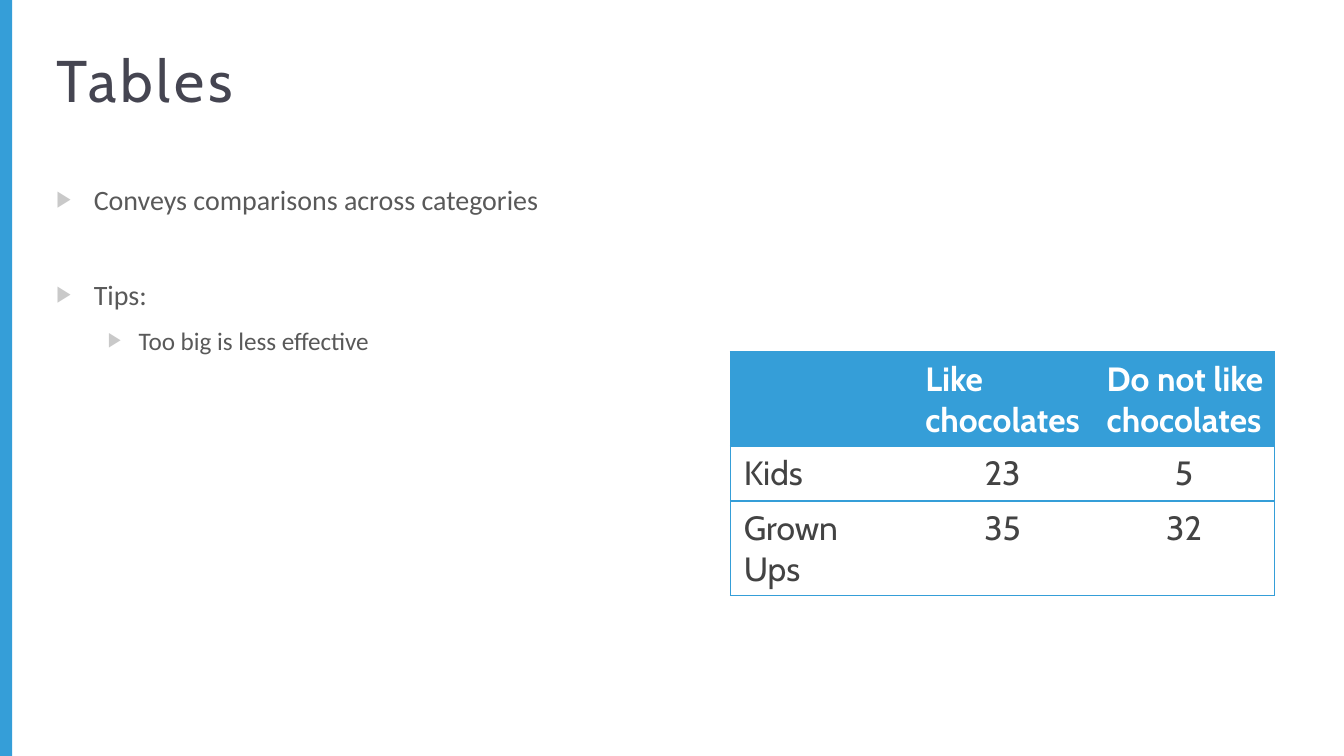
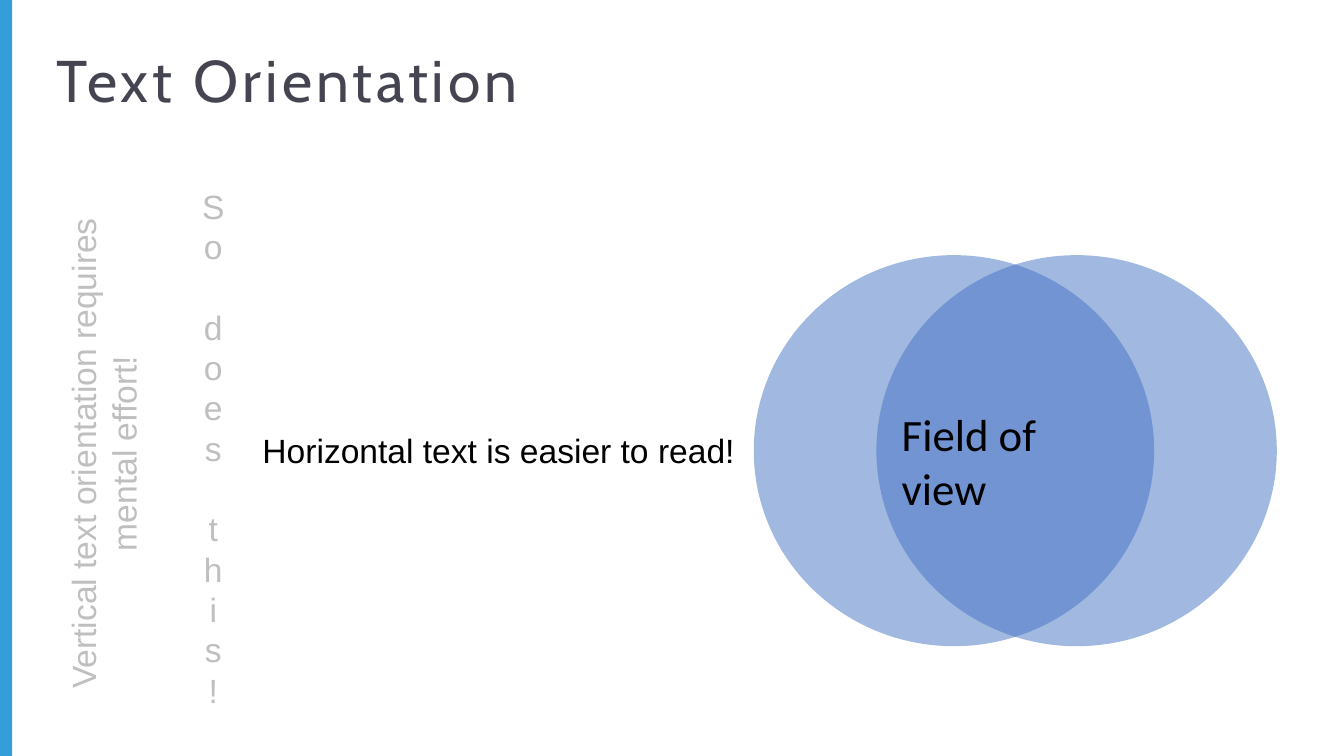
"""Builds two slides on tables and text orientation."""
import pptx
import pptx.dml.color
import pptx.enum.shapes
import pptx.enum.text
import pptx.oxml
import pptx.oxml.ns
import pptx.util
from lxml import etree

Pt = pptx.util.Pt
ALIGN = pptx.enum.text.PP_ALIGN
SHAPE = pptx.enum.shapes.MSO_SHAPE
qn = pptx.oxml.ns.qn

BLUE, INK, BULLET, BODY = "359ED8", "454551", "C9C9C9", "595959"
CELL_INK, PALE, BLACK, WHITE, CIRCLE = "434343", "BFBFBF", "000000", "FFFFFF", "4472C4"
WIDTH, HEIGHT = 720, 405
BAND = (0, 0, 6.5, HEIGHT)
TITLE = (23, 20, 570, 58.5)
LINE = 21.6
HEADER_RIGHT_MARGIN = 4

POINTS_BOX = (23.2, 94, 570, 248)
POINTS = [
    ("Conveys comparisons across categories", dict(size=15, bullet=(20, 20))),
    ("Tips:", dict(size=15, bullet=(20, 20), before=33)),
    ("Too big is less effective", dict(size=13.5, bullet=(44, 16.5), before=7.5, level=1)),
]
SURVEY_BOX = (391.3, 188.5, 291.6, 88.5)
SURVEY = [
    ("", "Like chocolates", "Do not like chocolates"),
    ("Kids", "23", "5"),
    ("Grown Ups", "35", "32"),
]

ROTATED_BOX = (-82, 217.5, 275, 51)
ROTATED = ["Vertical text orientation requires", "mental effort!"]
STACKED_BOX = (101, 96, 26.5, 291)
STACKED = "So does this!"
HORIZONTAL_BOX = (133.5, 227, 270, 29)
HORIZONTAL = "Horizontal text is easier to read!"
CIRCLES = [(left, 136.7, 214.5, 209.5) for left in (403.8, 469.5)]
VIEW_BOX = (476, 214.5, 136, 36)
VIEW = "Field of view"


def color(value):
    """Turn a hex string into a colour."""
    return pptx.dml.color.RGBColor.from_string(value)


def add_node(parent, tag, **attributes):
    """Append a DrawingML element."""
    return etree.SubElement(parent, qn(tag), attributes)


def write(frame, text, font="Arial", size=18, ink=BLACK, bold=False, align=ALIGN.LEFT,
          before=0, line=None, level=0, bullet=None, tracking=None):
    """Fill the frame's empty first paragraph or add another one."""
    last = frame.paragraphs[-1]
    paragraph = frame.add_paragraph() if last.runs else last
    paragraph.alignment, paragraph.level = align, level
    paragraph.space_before = Pt(before)
    if line:
        paragraph.line_spacing = Pt(line)
    if bullet:
        margin, hang = bullet
        properties = paragraph._p.get_or_add_pPr()
        properties.set("marL", str(Pt(margin)))
        properties.set("indent", str(-Pt(hang)))
        add_node(add_node(properties, "a:buClr"), "a:srgbClr", val=BULLET)
        add_node(properties, "a:buSzPct", val="80000")
        add_node(properties, "a:buFont", typeface="Arial")
        add_node(properties, "a:buChar", char="▶")
    run = paragraph.add_run()
    run.text = text
    run.font.name, run.font.size, run.font.bold = font, Pt(size), bold
    run.font.color.rgb = color(ink)
    if tracking:
        run._r.get_or_add_rPr().set("spc", str(round(tracking * 100)))


def add_box(slide, place, wrap=False):
    """Add a text box and return its frame."""
    box = slide.shapes.add_textbox(*map(Pt, place))
    box.text_frame.word_wrap = wrap
    return box.text_frame


def add_filled(slide, kind, place, fill, alpha=None):
    """Add a borderless shape, transparent if alpha is given in percent."""
    shape = slide.shapes.add_shape(kind, *map(Pt, place))
    shape.shadow.inherit = False
    shape.line.fill.background()
    shape.fill.solid()
    shape.fill.fore_color.rgb = color(fill)
    if alpha:
        add_node(shape._element.spPr.find(".//" + qn("a:srgbClr")), "a:alpha", val=str(alpha * 1000))


def add_slide(deck, heading):
    """Add a slide with the side band and a title."""
    slide = deck.slides.add_slide(deck.slide_layouts[5])
    add_filled(slide, SHAPE.RECTANGLE, BAND, BLUE)
    title = slide.shapes.title
    title.left, title.top, title.width, title.height = map(Pt, TITLE)
    frame = title.text_frame
    frame.word_wrap = True
    frame.auto_size = pptx.enum.text.MSO_AUTO_SIZE.NONE
    frame.vertical_anchor = pptx.enum.text.MSO_ANCHOR.TOP
    write(frame, heading, font="Cabin", size=31.5, ink=INK, tracking=2.2)
    return slide


def add_borders(cell, sides):
    """Draw blue lines on the given sides and none on the others."""
    properties = cell._tc.get_or_add_tcPr()
    for side in "LRTB":
        line = add_node(properties, "a:ln" + side, w=str(Pt(0.75)))
        if side in sides:
            add_node(add_node(line, "a:solidFill"), "a:srgbClr", val=BLUE)
        else:
            add_node(line, "a:noFill")


def add_survey(slide):
    """Add the survey table."""
    columns = len(SURVEY[0])
    survey = slide.shapes.add_table(len(SURVEY), columns, *map(Pt, SURVEY_BOX)).table
    survey.horz_banding = False
    survey._tbl.tblPr.find(qn("a:tableStyleId")).text = "{2D5ABB26-0587-4C30-8999-92F81FD0307C}"
    for r, entries in enumerate(SURVEY):
        for c, entry in enumerate(entries):
            cell = survey.cell(r, c)
            add_borders(cell, "TB" + "L" * (c == 0) + "R" * (c == columns - 1))
            cell.fill.solid()
            cell.fill.fore_color.rgb = color(WHITE if r else BLUE)
            if r == 0:
                cell.margin_right = Pt(HEADER_RIGHT_MARGIN)
            if entry:
                write(cell.text_frame, entry, font="Cabin", bold=r == 0,
                      ink=CELL_INK if r else WHITE,
                      align=ALIGN.CENTER if r and c else ALIGN.LEFT)


def build_tables(deck):
    """Build the slide on tables."""
    slide = add_slide(deck, "Tables")
    points = add_box(slide, POINTS_BOX, wrap=True)
    for text, style in POINTS:
        write(points, text, font="Calibri", ink=BODY, **style)
    add_survey(slide)


def build_orientation(deck):
    """Build the slide on text orientation."""
    slide = add_slide(deck, "Text Orientation")
    pale = dict(ink=PALE, align=ALIGN.CENTER, line=LINE)
    rotated = add_box(slide, ROTATED_BOX)
    slide.shapes[-1].rotation = 270
    for text in ROTATED:
        write(rotated, text, **pale)
    stacked = add_box(slide, STACKED_BOX)
    for w, word in enumerate(STACKED.split()):
        for i, letter in enumerate(word):
            write(stacked, letter, before=LINE if w and i == 0 else 0, **pale)
    write(add_box(slide, HORIZONTAL_BOX), HORIZONTAL, line=LINE)
    for place in CIRCLES:
        add_filled(slide, SHAPE.OVAL, place, CIRCLE, alpha=50)
    write(add_box(slide, VIEW_BOX, wrap=True), VIEW, font="Calibri", size=24)


def main():
    """Build and save the deck."""
    deck = pptx.Presentation()
    deck.slide_width, deck.slide_height = Pt(WIDTH), Pt(HEIGHT)
    build_tables(deck)
    build_orientation(deck)
    deck.save("out.pptx")


if __name__ == "__main__":
    main()
